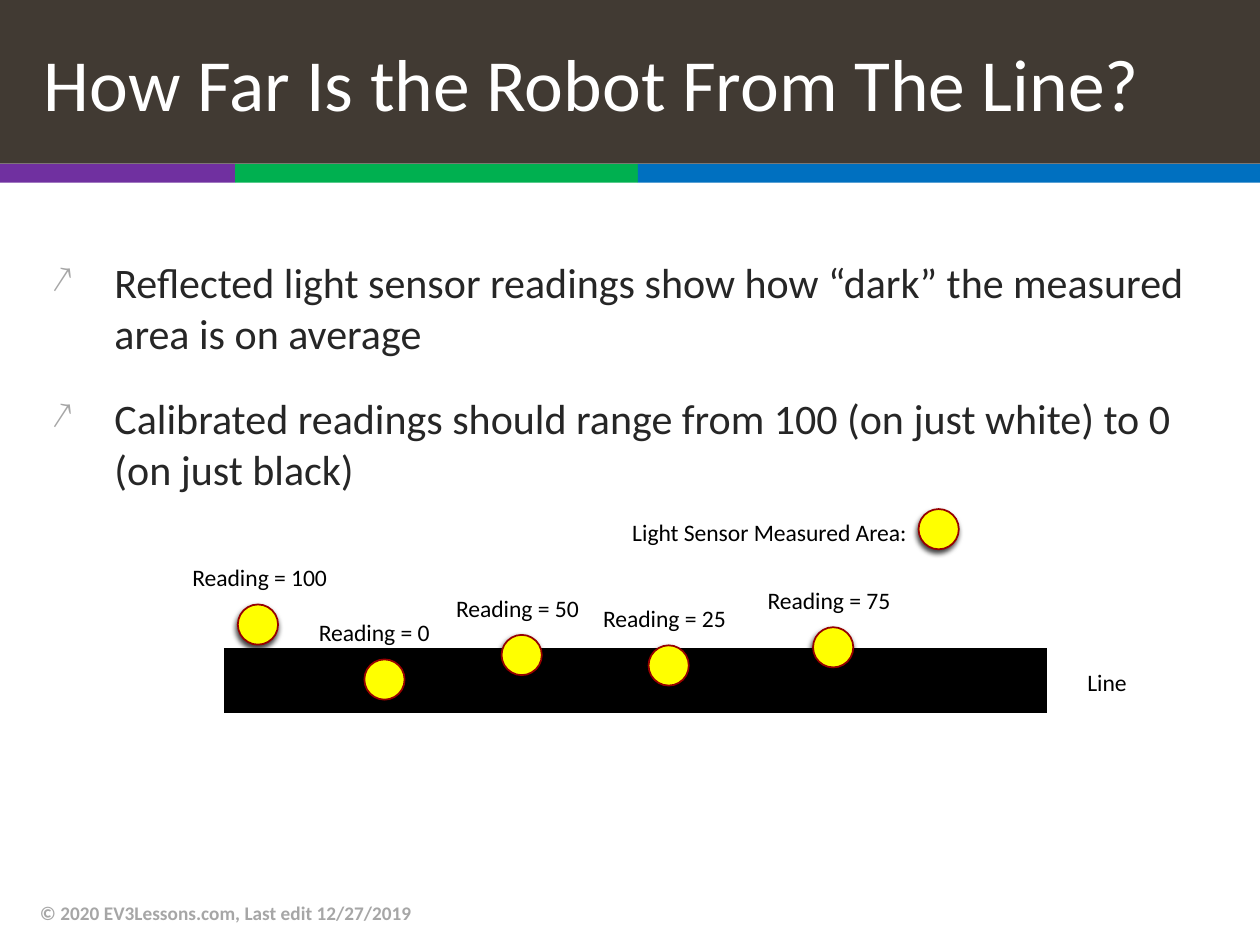
from typing import NamedTuple

from lxml.etree import SubElement
from pptx import Presentation
from pptx.dml.color import RGBColor
from pptx.enum.shapes import MSO_CONNECTOR, MSO_SHAPE
from pptx.enum.text import MSO_ANCHOR as Anchor, MSO_AUTO_SIZE as AutoSize, PP_ALIGN as Align
from pptx.oxml.ns import qn
from pptx.util import Pt

FONT = "Calibri"
WHITE = RGBColor(0xFF, 0xFF, 0xFF)
BLACK = RGBColor(0x00, 0x00, 0x00)
BROWN = RGBColor(0x41, 0x3A, 0x33)
PURPLE = RGBColor(0x70, 0x30, 0xA0)
GREEN = RGBColor(0x00, 0xB0, 0x50)
BLUE = RGBColor(0x00, 0x70, 0xC0)
YELLOW = RGBColor(0xFF, 0xFF, 0x00)
DARK_RED = RGBColor(0x96, 0x00, 0x00)
INK = RGBColor(0x26, 0x26, 0x26)
GRAY = RGBColor(0xA6, 0xA6, 0xA6)

PAGE_WIDTH, PAGE_HEIGHT = 720, 540
TITLE_HEIGHT = 93.6
STRIPE_HEIGHT = 10.8
SPOT_SIZE = 23
LABEL_HEIGHT = 23.6
LABEL_SHIFT, LABEL_RISE = 33.1, 27.2


class Stripe(NamedTuple):
    left: float
    right: float
    color: RGBColor


class Reading(NamedTuple):
    value: int
    left: float
    top: float
    label_width: float


STRIPES = [
    Stripe(0, 134.4, PURPLE),
    Stripe(134.4, 364.5, GREEN),
    Stripe(364.5, PAGE_WIDTH, BLUE),
]
READINGS = [
    Reading(100, 135.9, 345.4, 92.9),
    Reading(0, 208.2, 376.8, 79.2),
    Reading(50, 286.6, 362.8, 85.7),
    Reading(25, 370.6, 368.8, 85.7),
    Reading(75, 464.6, 358.4, 85.7),
]
BULLETS = [
    "Reflected light sensor readings show how “dark” the measured area is on average",
    "Calibrated readings should range from 100 (on just white) to 0 (on just black)",
]


def set_font(para, size: float, color: RGBColor, bold: bool = False) -> None:
    para.font.name = FONT
    para.font.size = Pt(size)
    para.font.color.rgb = color
    para.font.bold = bold


def add_bar(page, left: float, top: float, width: float, height: float, color: RGBColor):
    bar = page.shapes.add_shape(MSO_SHAPE.RECTANGLE, Pt(left), Pt(top), Pt(width), Pt(height))
    bar.shadow.inherit = False
    bar.fill.solid()
    bar.fill.fore_color.rgb = color
    bar.line.fill.background()
    return bar


def add_title(page, text: str) -> None:
    bar = add_bar(page, 0, 0, PAGE_WIDTH, TITLE_HEIGHT, BROWN)
    frame = bar.text_frame
    frame.vertical_anchor = Anchor.MIDDLE
    para = frame.paragraphs[0]
    para.text = text
    para.alignment = Align.LEFT
    para._p.get_or_add_pPr().set("marL", str(Pt(18)))
    set_font(para, 42, WHITE)


def add_bullets(page, texts: list[str]) -> None:
    box = page.shapes.add_textbox(Pt(22.3), Pt(143.3), Pt(675.4), Pt(339))
    frame = box.text_frame
    frame.word_wrap = True
    for index, text in enumerate(texts):
        para = frame.add_paragraph() if index else frame.paragraphs[0]
        para.text = text
        para.space_before = Pt(20 if index else 0)
        props = para._p.get_or_add_pPr()
        props.set("marL", str(Pt(36)))
        props.set("indent", str(-Pt(36)))
        SubElement(SubElement(props, qn("a:buClr")), qn("a:srgbClr"), val=str(GRAY))
        SubElement(props, qn("a:buSzPct"), val="90000")
        SubElement(props, qn("a:buChar"), char="↗")
        set_font(para, 24, INK)


def add_label(page, text: str, left: float, top: float, width: float) -> None:
    box = page.shapes.add_textbox(Pt(left), Pt(top), Pt(width), Pt(LABEL_HEIGHT))
    frame = box.text_frame
    frame.word_wrap = False
    frame.auto_size = AutoSize.SHAPE_TO_FIT_TEXT
    para = frame.paragraphs[0]
    para.text = text
    set_font(para, 13.5, BLACK)


def add_spot(page, left: float, top: float) -> None:
    """Draw the shadowed circle that marks an area seen by the sensor."""
    spot = page.shapes.add_shape(MSO_SHAPE.OVAL, Pt(left), Pt(top), Pt(SPOT_SIZE), Pt(SPOT_SIZE))
    spot.fill.solid()
    spot.fill.fore_color.rgb = YELLOW
    spot.line.color.rgb = DARK_RED
    spot.line.width = Pt(1)
    spot.shadow.inherit = False
    effects = spot._element.spPr.find(qn("a:effectLst"))
    shadow = SubElement(effects, qn("a:outerShdw"), blurRad=str(Pt(3)), dist=str(Pt(2)),
                        dir=str(110 * 60000), rotWithShape="0")
    color = SubElement(shadow, qn("a:srgbClr"), val=str(BLACK))
    SubElement(color, qn("a:alpha"), val="75000")


def add_black_line(page) -> None:
    line = page.shapes.add_connector(MSO_CONNECTOR.STRAIGHT, Pt(128), Pt(388.8), Pt(598.3), Pt(388.8))
    line.line.color.rgb = BLACK
    line.line.width = Pt(36.75)
    SubElement(line._element.spPr, qn("a:effectLst"))


def add_footer(page, text: str) -> None:
    box = page.shapes.add_textbox(Pt(15.8), Pt(507), Pt(482.4), Pt(28.8))
    frame = box.text_frame
    frame.word_wrap = True
    frame.vertical_anchor = Anchor.MIDDLE
    para = frame.paragraphs[0]
    para.text = text
    set_font(para, 11, GRAY, bold=True)


def main() -> None:
    deck = Presentation()
    deck.slide_width, deck.slide_height = Pt(PAGE_WIDTH), Pt(PAGE_HEIGHT)
    page = deck.slides.add_slide(deck.slide_layouts[6])

    for stripe in STRIPES:
        add_bar(page, stripe.left, TITLE_HEIGHT, stripe.right - stripe.left, STRIPE_HEIGHT, stripe.color)
    add_bullets(page, BULLETS)
    add_footer(page, "© 2020 EV3Lessons.com, Last edit 12/27/2019")
    add_title(page, "How Far Is the Robot From The Line?")

    add_black_line(page)
    add_spot(page, 524.9, 290.9)
    add_label(page, "Light Sensor Measured Area:", 354.2, 292.3, 173.5)
    add_label(page, "Line", 614.2, 378, 37.4)
    for reading in READINGS:
        add_spot(page, reading.left, reading.top)
        add_label(page, f"Reading = {reading.value}", reading.left - LABEL_SHIFT,
                  reading.top - LABEL_RISE, reading.label_width)

    deck.save("out.pptx")


if __name__ == "__main__":
    main()
